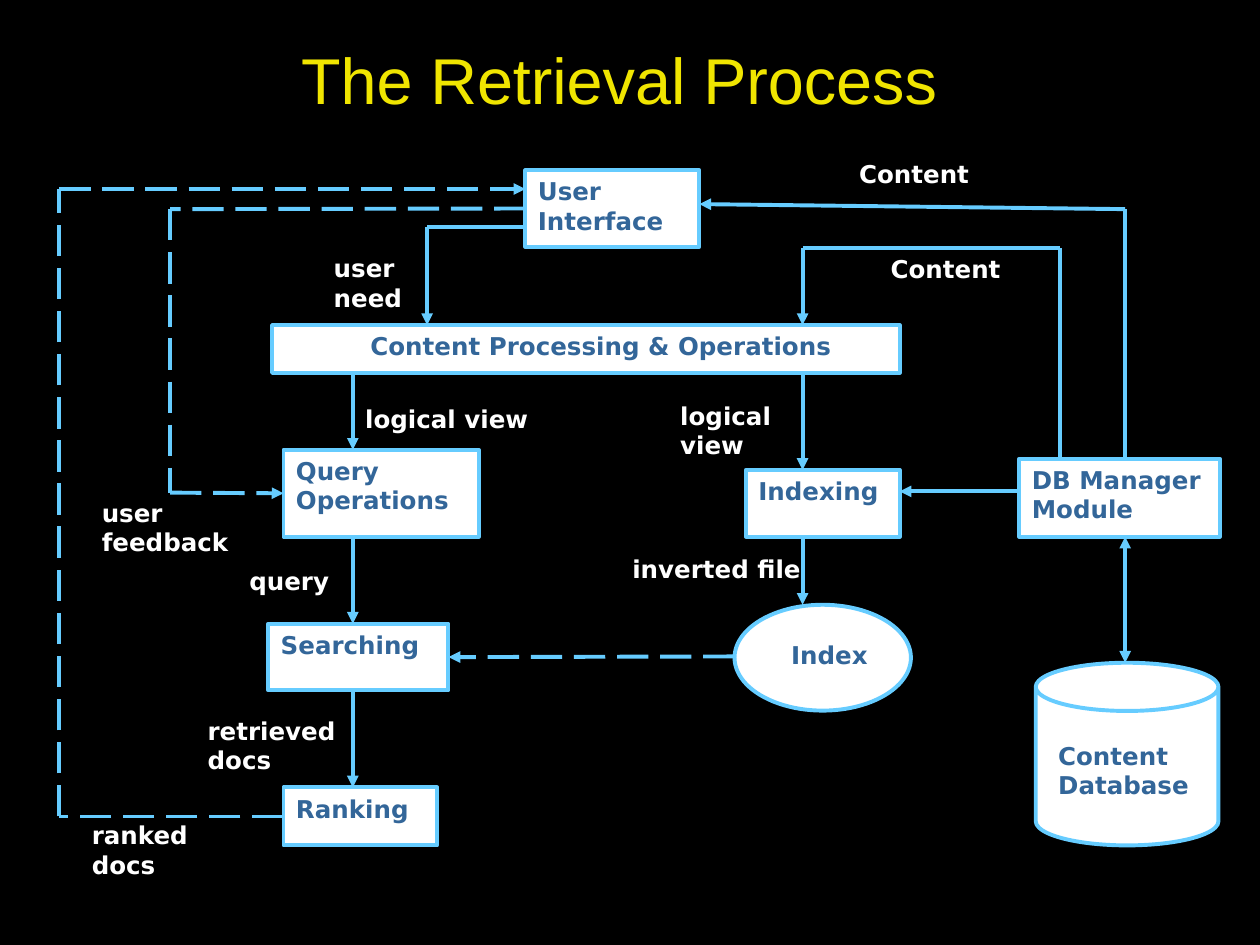
import dataclasses
import itertools

import pptx
import pptx.dml.color
import pptx.enum.dml
import pptx.enum.shapes
import pptx.enum.text
import pptx.oxml.ns
import pptx.util
from lxml import etree

Inches = pptx.util.Inches
SHAPE = pptx.enum.shapes.MSO_SHAPE
ALIGN = pptx.enum.text.PP_ALIGN
ANCHOR = pptx.enum.text.MSO_ANCHOR
TOP, LEFT, BOTTOM, RIGHT = range(4)


@dataclasses.dataclass(frozen=True)
class Theme:
    background: str = "000000"
    title: str = "F0E500"
    label: str = "FFFFFF"
    node_text: str = "336699"
    node_fill: str = "FFFFFF"
    line: str = "66CCFF"
    line_width: float = 2.25
    title_font: str = "Arial"
    title_size: int = 37
    body_font: str = "DejaVu Sans"
    body_size: int = 14


@dataclasses.dataclass(frozen=True)
class Box:
    left: float
    top: float
    width: float = 0
    height: float = 0

    def point(self, x, y):
        return Inches(self.left + x), Inches(self.top + y)

    def area(self, x, y, width, height):
        return *self.point(x, y), Inches(width), Inches(height)


THEME = Theme()


def rgb(value):
    return pptx.dml.color.RGBColor.from_string(value)


def write(frame, text, *, color=THEME.label, font=THEME.body_font,
          size=THEME.body_size, bold=True, align=ALIGN.LEFT,
          anchor=ANCHOR.TOP, indent=0.1):
    frame.word_wrap = True
    frame.vertical_anchor = anchor
    frame.margin_left = Inches(indent)
    frame.text = text
    for paragraph in frame.paragraphs:
        paragraph.alignment = align
        paragraph.font.name = font
        paragraph.font.size = pptx.util.Pt(size)
        paragraph.font.bold = bold
        paragraph.font.color.rgb = rgb(color)


def add_label(slide, area, text, **style):
    write(slide.shapes.add_textbox(*area).text_frame, text, **style)


def add_node(slide, area, text="", kind=SHAPE.RECTANGLE, **style):
    node = slide.shapes.add_shape(kind, *area)
    node.shadow.inherit = False
    node.fill.solid()
    node.fill.fore_color.rgb = rgb(THEME.node_fill)
    node.line.color.rgb = rgb(THEME.line)
    node.line.width = pptx.util.Pt(THEME.line_width)
    if text:
        write(node.text_frame, text, color=THEME.node_text, **style)
    return node


def add_route(slide, box, points, *, dashed=False, arrow=True,
              both=False, start=None, end=None):
    legs = []
    for begin, finish in itertools.pairwise(points):
        leg = slide.shapes.add_connector(
            pptx.enum.shapes.MSO_CONNECTOR.STRAIGHT,
            *box.point(*begin), *box.point(*finish))
        leg.line.color.rgb = rgb(THEME.line)
        leg.line.width = pptx.util.Pt(THEME.line_width)
        if dashed:
            leg.line.dash_style = pptx.enum.dml.MSO_LINE.LONG_DASH
        etree.SubElement(leg._element.spPr, pptx.oxml.ns.qn("a:effectLst"))
        legs.append(leg)
    if start:
        legs[0].begin_connect(*start)
    if end:
        legs[-1].end_connect(*end)
    ends = [(legs[0], "a:headEnd")] if both else []
    if arrow:
        ends.append((legs[-1], "a:tailEnd"))
    for leg, tag in ends:
        etree.SubElement(leg.line._get_or_add_ln(),
                         pptx.oxml.ns.qn(tag), type="triangle")


def draw_title(slide, box):
    add_label(slide, box.area(0, 0, box.width, box.height),
              "The Retrieval Process", color=THEME.title,
              font=THEME.title_font, size=THEME.title_size, bold=False,
              align=ALIGN.CENTER, anchor=ANCHOR.MIDDLE)


def draw_interface(slide, box):
    interface = add_node(slide, box.area(2.17, 0.35, 1.38, 0.61),
                         "User\nInterface")
    add_node(slide, box.area(0.16, 1.58, 4.98, 0.38),
             "Content Processing & Operations", indent=0.78)
    add_route(slide, box, [(2.17, 0.8), (1.39, 0.8), (1.39, 1.58)])
    add_label(slide, box.area(0.55, 0.96, 1.19, 0.46), "user need")
    return interface


def draw_query_column(slide, box):
    query = add_node(slide, box.area(0.75, 0.57, 1.55, 0.69),
                     "Query\nOperations")
    searching = add_node(slide, box.area(0.63, 1.95, 1.43, 0.53), "Searching")
    ranking = add_node(slide, box.area(0.75, 3.25, 1.22, 0.46), "Ranking")
    for top, bottom in [(-0.04, 0.57), (1.26, 1.95), (2.48, 3.25)]:
        add_route(slide, box, [(1.3, top), (1.3, bottom)])
    for area, text in [((1.3, 0.16, 1.84, 0.41), "logical view"),
                       ((0.38, 1.44, 0.91, 0.36), "query"),
                       ((0.05, 2.63, 1.64, 0.46), "retrieved docs")]:
        add_label(slide, box.area(*area), text)
    return query, searching, ranking


def draw_index_column(slide, box, searching):
    add_node(slide, box.area(1.42, 0.73, 1.22, 0.53), "Indexing")
    add_node(slide, box.area(1.33, 1.8, 1.4, 0.84), kind=SHAPE.OVAL)
    add_label(slide, box.area(1.68, 2.03, 0.95, 0.46), "Index",
              color=THEME.node_text)
    for top, bottom in [(-0.04, 0.73), (1.26, 1.8)]:
        add_route(slide, box, [(1.87, top), (1.87, bottom)])
    add_route(slide, box, [(1.33, 2.21), (-0.94, 2.21)], dashed=True,
              end=(searching, RIGHT))
    add_label(slide, box.area(0.8, 0.13, 1.45, 0.41), "logical view")
    add_label(slide, box.area(0.42, 1.35, 1.58, 0.41), "inverted file")


def draw_database(slide, box):
    add_node(slide, box.area(2.59, 2.64, 1.59, 0.62), "DB Manager\nModule")
    store = add_node(slide, box.area(2.72, 4.26, 1.45, 1.45), kind=SHAPE.CAN)
    store.adjustments[0] = 0.264
    add_label(slide, box.area(2.8, 4.83, 1.33, 0.63), "Content\nDatabase",
              color=THEME.node_text)
    add_route(slide, box, [(2.59, 2.9), (1.64, 2.9)])
    add_route(slide, box, [(3.43, 4.26), (3.43, 3.26)], both=True)
    add_route(slide, box, [(3.43, 2.64), (3.43, 0.66), (0.05, 0.62)])
    add_route(slide, box,
              [(2.91, 2.64), (2.91, 0.97), (0.87, 0.97), (0.87, 1.58)])
    add_label(slide, box.area(1.22, 0.21, 1.16, 0.45), "Content")
    add_label(slide, box.area(1.47, 0.97, 1.16, 0.45), "Content")


def draw_feedback(slide, box, interface, query, ranking):
    add_route(slide, box,
              [(2.25, 5.48), (0.47, 5.48), (0.47, 0.5), (4.17, 0.5)],
              dashed=True, start=(ranking, LEFT))
    add_route(slide, box,
              [(4.17, 0.66), (1.35, 0.66), (1.35, 2.91), (2.25, 2.91)],
              dashed=True, start=(interface, LEFT), end=(query, LEFT))
    add_label(slide, box.area(0.71, 2.9, 1.7, 0.44), "user feedback")
    add_label(slide, box.area(0.63, 5.46, 1.42, 0.41), "ranked docs")


def main():
    deck = pptx.Presentation()
    deck.slide_width, deck.slide_height = Inches(10), Inches(7.5)
    slide = deck.slides.add_slide(deck.slide_layouts[6])
    slide.background.fill.solid()
    slide.background.fill.fore_color.rgb = rgb(THEME.background)

    interface = draw_interface(slide, Box(2, 1))
    query, searching, ranking = draw_query_column(slide, Box(1.5, 3))
    draw_index_column(slide, Box(4.5, 3), searching)
    draw_database(slide, Box(5.5, 1))
    draw_feedback(slide, Box(0, 1), interface, query, ranking)
    draw_title(slide, Box(1.58, 0.25, 6.67, 0.75))
    deck.save("out.pptx")


if __name__ == "__main__":
    main()
